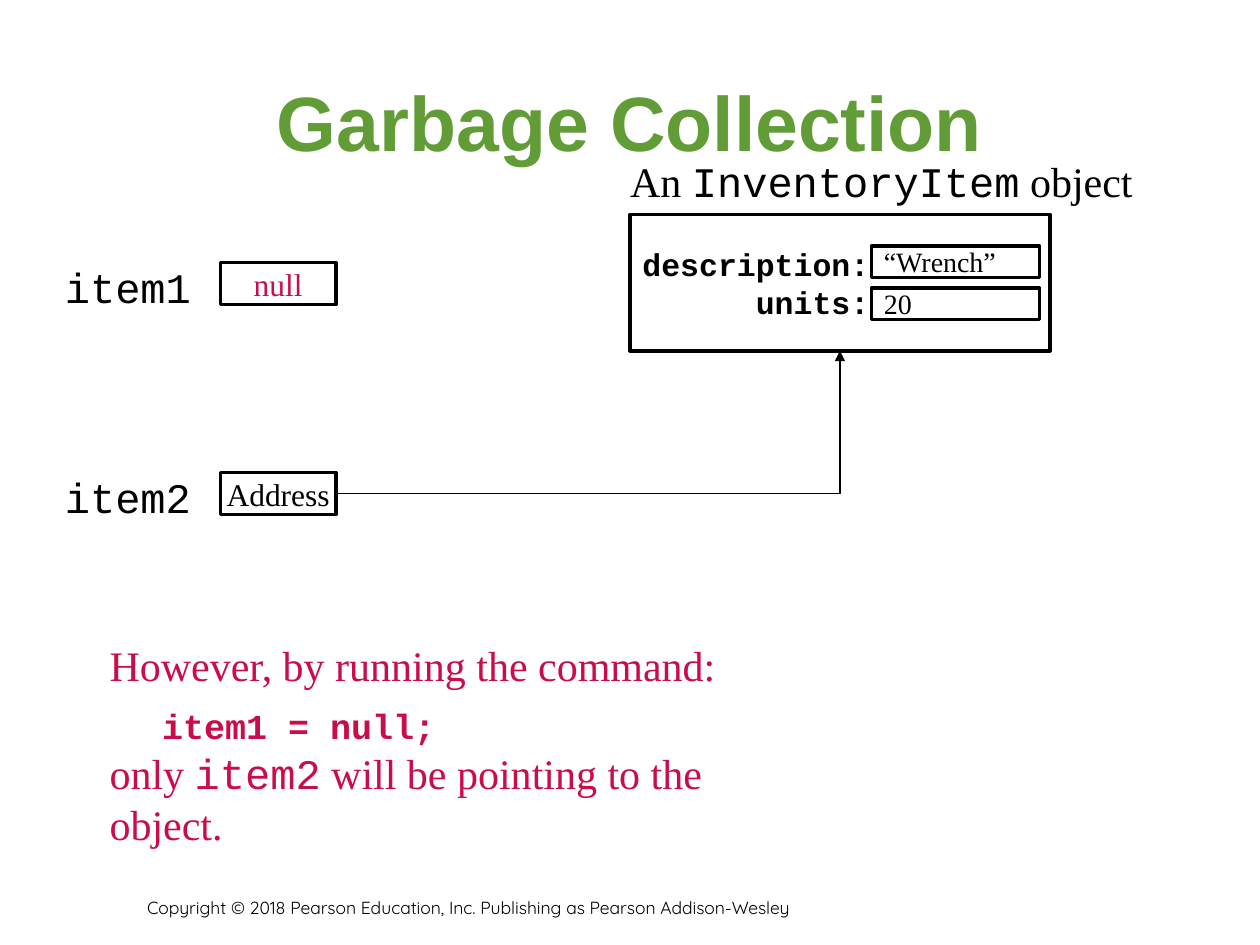
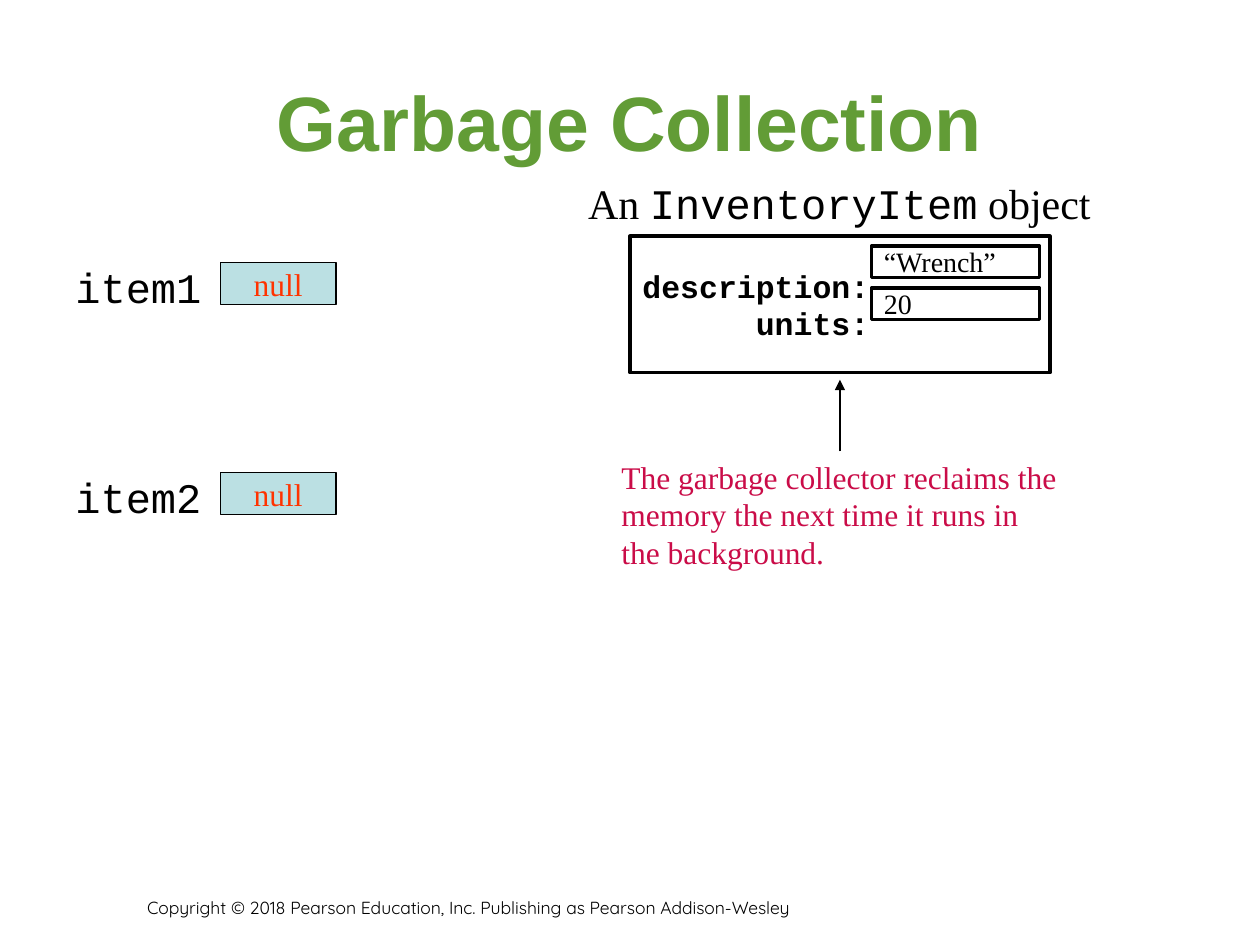
from dataclasses import dataclass

from pptx import Presentation
from pptx.dml.color import RGBColor
from pptx.enum.shapes import MSO_CONNECTOR, MSO_SHAPE
from pptx.enum.text import MSO_ANCHOR, PP_ALIGN
from pptx.oxml.ns import qn
from pptx.oxml.xmlchemy import OxmlElement
from pptx.util import Pt


@dataclass(frozen=True)
class Theme:
    ink: str = "000000"
    paper: str = "FFFFFF"
    green: str = "629C36"
    crimson: str = "CA0C48"
    red: str = "FF3300"
    pale_blue: str = "BBE0E3"
    heading: str = "Arial"
    serif: str = "Times New Roman"
    mono: str = "Courier New"
    copyright: str = "Quicksand"
    title_size: int = 44
    large: int = 24
    code: int = 20
    medium: int = 18
    small: int = 16
    footer_size: int = 10
    thick: float = 2
    thin: float = 0.75


@dataclass(frozen=True)
class Para:
    """Runs are plain strings, or (text, format overrides) pairs."""
    runs: tuple
    indent: float = 0
    before: float = 0


THEME = Theme()
CODE = {"font": THEME.mono}
CENTER_X = 480  # shared axis of the object box and its arrows
SLOT_LEFT, SLOT_TOP, SLOT_PITCH = 126, 150, 120


def write(frame, *paragraphs, font=THEME.serif, size=THEME.medium, color=THEME.ink,
          bold=False, align=PP_ALIGN.LEFT, anchor=MSO_ANCHOR.TOP, wrap=False):
    frame.word_wrap = wrap
    frame.vertical_anchor = anchor
    for index, content in enumerate(paragraphs):
        para = Para((content,)) if isinstance(content, str) else content
        line = frame.paragraphs[0] if index == 0 else frame.add_paragraph()
        line.alignment = align
        if para.indent:
            line._p.get_or_add_pPr().set("marL", str(Pt(para.indent)))
        if para.before:
            line.space_before = Pt(para.before)
        for item in para.runs:
            text, changes = (item, {}) if isinstance(item, str) else item
            look = {"font": font, "size": size, "bold": bold} | changes
            run = line.add_run()
            run.text = text
            run.font.name = look["font"]
            run.font.size = Pt(look["size"])
            run.font.bold = look["bold"]
            run.font.color.rgb = RGBColor.from_string(color)


def add_text(slide, box, *paragraphs, **style):
    label = slide.shapes.add_textbox(*map(Pt, box))
    write(label.text_frame, *paragraphs, **style)
    return label


def add_cell(slide, box, *paragraphs, fill=THEME.paper, border=THEME.thick, **style):
    cell = slide.shapes.add_shape(MSO_SHAPE.RECTANGLE, *map(Pt, box))
    cell.shadow.inherit = False
    cell.fill.solid()
    cell.fill.fore_color.rgb = RGBColor.from_string(fill)
    cell.line.color.rgb = RGBColor.from_string(THEME.ink)
    cell.line.width = Pt(border)
    write(cell.text_frame, *paragraphs, anchor=MSO_ANCHOR.MIDDLE, **style)
    return cell


def add_arrow(slide, start, end, kind=MSO_CONNECTOR.STRAIGHT):
    arrow = slide.shapes.add_connector(kind, *map(Pt, (*start, *end)))
    arrow.line.color.rgb = RGBColor.from_string(THEME.ink)
    arrow.line.width = Pt(THEME.thin)
    head = OxmlElement("a:tailEnd")
    head.set("type", "triangle")
    arrow.line._get_or_add_ln().append(head)
    arrow._element.spPr.append(OxmlElement("a:effectLst"))
    return arrow


def add_frame(deck):
    """Start a slide with the shared title and copyright line."""
    slide = deck.slides.add_slide(deck.slide_layouts.get_by_name("Title Only"))
    title = slide.shapes.title
    title.left, title.top, title.width, title.height = map(Pt, (36, 24, 648, 90))
    write(title.text_frame, "Garbage Collection", font=THEME.heading,
          size=THEME.title_size, color=THEME.green, bold=True,
          align=PP_ALIGN.CENTER, anchor=MSO_ANCHOR.MIDDLE, wrap=True)
    add_text(slide, (77, 504, 515.5, 24),
             "Copyright © 2018 Pearson Education, Inc. Publishing as Pearson Addison-Wesley",
             font=THEME.copyright, size=THEME.footer_size,
             anchor=MSO_ANCHOR.BOTTOM, wrap=True)
    return slide


def add_variables(slide, label_left, values, **slot_style):
    """Stack item1, item2, ... with the (value, colour) each one holds."""
    slots = []
    for index, (value, color) in enumerate(values):
        top = SLOT_TOP + index * SLOT_PITCH
        add_text(slide, (label_left, top - 4, 86.4, 36), f"item{index + 1}",
                 font=THEME.mono, size=THEME.large)
        slots.append(add_cell(slide, (SLOT_LEFT, top, 66, 24), value, color=color,
                              align=PP_ALIGN.CENTER, **slot_style))
    return slots


def add_inventory_item(slide, top, caption_left, fields_offset):
    """Draw the object box with its caption above and field values inside."""
    width, height = 240, 78
    left = CENTER_X - width / 2
    add_text(slide, (caption_left, top - 37, 302, 36),
             Para(("An ", ("InventoryItem", CODE), " object")), size=THEME.large)
    item = add_cell(slide, (left, top, width, height),
                    "description:", Para(("units:",), indent=64.8),
                    font=THEME.mono, bold=True, wrap=True)
    for row, value in enumerate(("“Wrench”", "20")):
        add_cell(slide, (left + 138, top + fields_offset + row * 24, 96, 18), value,
                 size=THEME.small)
    return item


def build_one_reference_slide(deck):
    slide = add_frame(deck)
    item = add_inventory_item(slide, top=122.5, caption_left=353, fields_offset=18)
    _, address = add_variables(slide, 30, (("null", THEME.crimson), ("Address", THEME.ink)))
    link = add_arrow(slide, (192, 282), (CENTER_X, 200.5), MSO_CONNECTOR.ELBOW)
    link._element.spPr.find(qn("a:prstGeom")).set("prst", "bentConnector2")
    link.begin_connect(address, 3)
    link.end_connect(item, 2)
    add_text(slide, (55.5, 362, 423, 94),
             "However, by running the command:",
             Para((("item1 = null;", CODE | {"size": THEME.code, "bold": True}),),
                  indent=30, before=8),
             Para(("only ", ("item2", CODE), " will be pointing to the object."), before=1),
             size=THEME.large, color=THEME.crimson)


def build_no_reference_slide(deck):
    slide = add_frame(deck)
    add_inventory_item(slide, top=135, caption_left=329, fields_offset=5.5)
    add_variables(slide, 36, [("null", THEME.red)] * 2,
                  fill=THEME.pale_blue, border=THEME.thin)
    note = add_text(slide, (CENTER_X - 132, 258, 264, 72),
                    "The garbage collector reclaims the memory the next time it runs "
                    "in the background.", color=THEME.crimson, wrap=True)
    add_arrow(slide, (CENTER_X, 258), (CENTER_X, 217)).begin_connect(note, 0)


def main():
    deck = Presentation()
    deck.slide_width, deck.slide_height = Pt(720), Pt(540)
    build_one_reference_slide(deck)
    build_no_reference_slide(deck)
    deck.save("out.pptx")


if __name__ == "__main__":
    main()
